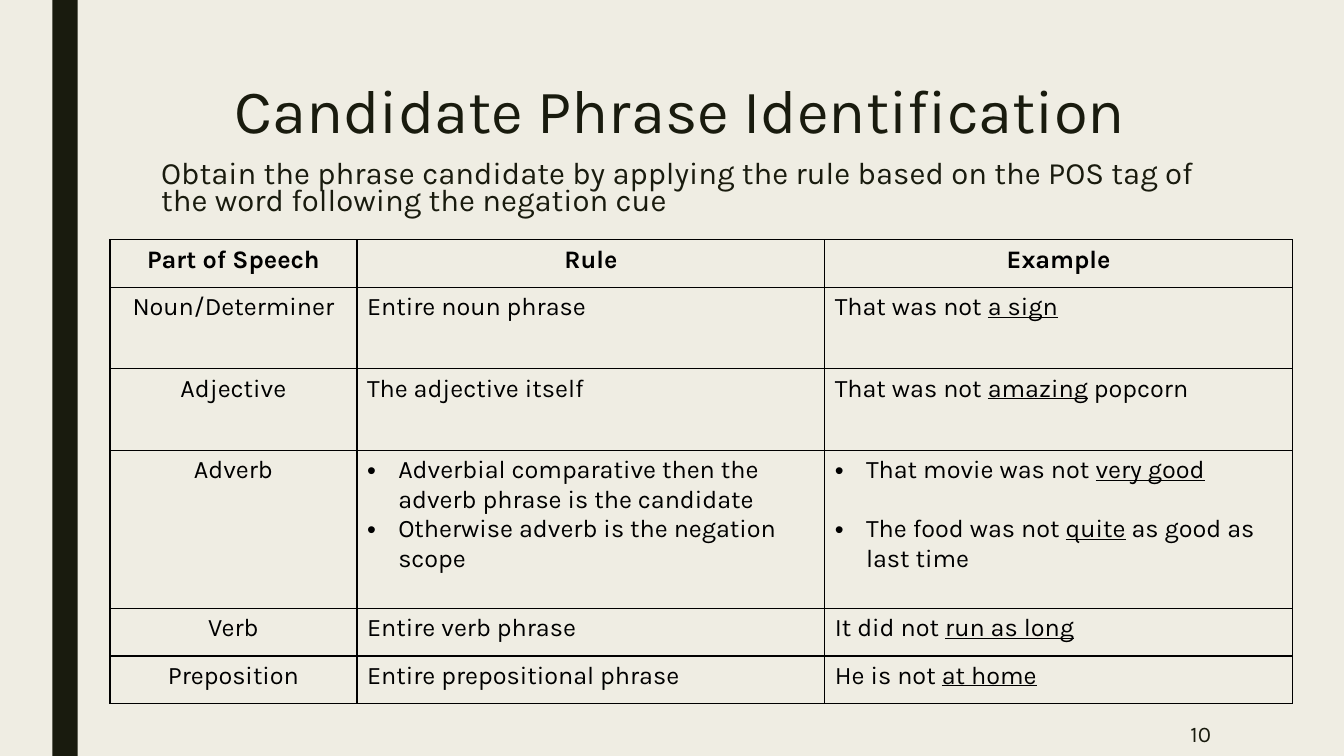
from lxml import etree
from pptx import Presentation
from pptx.dml.color import RGBColor
from pptx.enum.shapes import MSO_SHAPE
from pptx.enum.text import MSO_ANCHOR, PP_ALIGN
from pptx.oxml.ns import qn
from pptx.util import Inches, Pt

LEFT, CENTER, RIGHT = PP_ALIGN.LEFT, PP_ALIGN.CENTER, PP_ALIGN.RIGHT
TOP, MIDDLE = MSO_ANCHOR.TOP, MSO_ANCHOR.MIDDLE
RECTANGLE = MSO_SHAPE.RECTANGLE
FONT, CREAM, OLIVE, BLACK = "Karla", "EFEDE3", "191B0E", "000000"

COLUMN_WIDTHS = [2.45, 4.64, 4.64]
ROW_HEIGHTS = [0.47, 0.81, 0.81, 1.57, 0.47, 0.47]
HEADER = ["Part of Speech", "Rule", "Example"]
RULES = [
    ("Noun/Determiner", ["Entire noun phrase"], [("That was not ", "a sign")]),
    ("Adjective", ["The adjective itself"],
     [("That was not ", "amazing", " popcorn")]),
    ("Adverb",
     ["Adverbial comparative then the adverb phrase is the candidate",
      "Otherwise adverb is the negation scope"],
     [("That movie was not ", "very good"),
      ("The food was not ", "quite", " as good as last time")]),
    ("Verb", ["Entire verb phrase"], [("It did not ", "run as long")]),
    ("Preposition", ["Entire prepositional phrase"],
     [("He is not ", "at home")]),
]


def rgb(color):
    return RGBColor.from_string(color)


def add_run(p, text, size, color, bold=False, underline=False):
    r = p.add_run()
    r.text = text
    r.font.name = FONT
    r.font.size = Pt(size)
    r.font.color.rgb = rgb(color)
    r.font.bold = bold
    r.font.underline = underline


def add_text(s, box, text, size, align=LEFT, spacing=1.0, anchor=TOP):
    tf = s.shapes.add_textbox(*map(Inches, box)).text_frame
    tf.word_wrap = True
    tf.vertical_anchor = anchor
    p = tf.paragraphs[0]
    p.alignment = align
    p.line_spacing = spacing
    add_run(p, text, size, OLIVE)


def add_bar(s, box, color):
    sp = s.shapes.add_shape(RECTANGLE, *map(Inches, box))
    sp.shadow.inherit = False
    sp.fill.solid()
    sp.fill.fore_color.rgb = rgb(color)
    sp.line.fill.background()


def set_borders(cell):
    tcPr = cell._tc.get_or_add_tcPr()
    for i, side in enumerate(("lnL", "lnR", "lnT", "lnB")):
        ln = etree.Element(qn(f"a:{side}"), w=str(Pt(1)))
        fill = etree.SubElement(ln, qn("a:solidFill"))
        etree.SubElement(fill, qn("a:srgbClr"), val=BLACK)
        tcPr.insert(i, ln)


def set_bullet(p):
    pPr = p._p.get_or_add_pPr()
    indent = Inches(0.31)
    pPr.set("marL", str(indent))
    pPr.set("indent", str(-indent))
    etree.SubElement(pPr, qn("a:buFont"), typeface="Arial")
    etree.SubElement(pPr, qn("a:buChar"), char="•")


def fill_cell(cell, paragraphs, align=LEFT, bold=False, gap=0):
    cell.fill.background()
    set_borders(cell)
    tf = cell.text_frame
    for i, parts in enumerate(paragraphs):
        p = tf.add_paragraph() if i else tf.paragraphs[0]
        p.alignment = align
        if i:
            p.space_before = Pt(gap)
        if len(paragraphs) > 1:
            set_bullet(p)
        for j, text in enumerate(parts):
            add_run(p, text, 18, BLACK, bold, underline=j == 1)


def add_rule_table(s):
    table = s.shapes.add_table(
        len(ROW_HEIGHTS), len(COLUMN_WIDTHS), Inches(1.09), Inches(2.38),
        Inches(sum(COLUMN_WIDTHS)), Inches(sum(ROW_HEIGHTS))).table
    table.first_row = table.horz_banding = False
    for column, width in zip(table.columns, COLUMN_WIDTHS):
        column.width = Inches(width)
    for row, height in zip(table.rows, ROW_HEIGHTS):
        row.height = Inches(height)
    for c, heading in enumerate(HEADER):
        fill_cell(table.cell(0, c), [(heading,)], CENTER, bold=True)
    for i, (tag, rules, examples) in enumerate(RULES, 1):
        fill_cell(table.cell(i, 0), [(tag,)], CENTER)
        fill_cell(table.cell(i, 1), [(rule,) for rule in rules])
        fill_cell(table.cell(i, 2), examples, gap=21)


def main():
    prs = Presentation()
    prs.slide_width, prs.slide_height = Inches(13.33), Inches(7.5)
    s = prs.slides.add_slide(prs.slide_layouts[6])
    s.background.fill.solid()
    s.background.fill.fore_color.rgb = rgb(CREAM)
    add_bar(s, (0.52, 0, 0.25, 7.5), OLIVE)
    add_text(s, (1.5, 0.75, 10.5, 1.62), "Candidate Phrase Identification",
             44, CENTER, 0.89)
    add_text(s, (1.5, 1.56, 10.5, 0.65),
             "Obtain the phrase candidate by applying the rule based on "
             "the POS tag of the word following the negation cue",
             22.2, spacing=0.74)
    add_rule_table(s)
    add_text(s, (10.36, 7.06, 1.75, 0.44), "10", 16, RIGHT, anchor=MIDDLE)
    prs.save("out.pptx")


if __name__ == "__main__":
    main()
